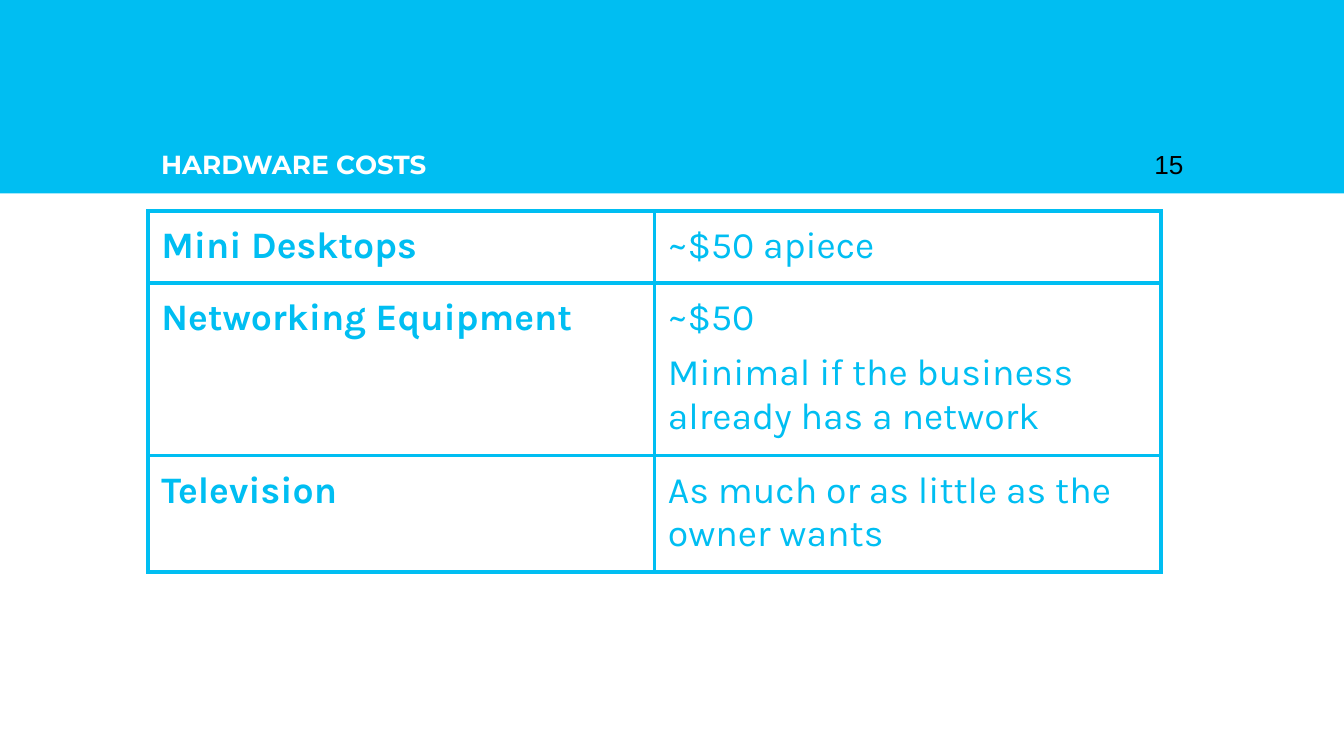
from pptx import Presentation
from pptx.dml.color import RGBColor
from pptx.enum.shapes import MSO_SHAPE as Shape
from pptx.enum.text import MSO_ANCHOR as Anchor
from pptx.oxml import parse_xml
from pptx.oxml.ns import nsdecls
from pptx.util import Inches, Pt

COLORS = {"accent": "00BEF2", "white": "FFFFFF", "black": "000000"}
INSET = Inches(0.1)
COSTS = [
    ("Mini Desktops", ["~$50 apiece"]),
    ("Networking Equipment",
     ["~$50", "Minimal if the business already has a network"]),
    ("Television", ["As much or as little as the owner wants"]),
]
# Least heights: the rows grow to fit their text
ROW_HEIGHTS = [0.18, 0.42, 0.42]
COLUMN_WIDTH = 3.77


def color(name):
    return RGBColor.from_string(COLORS[name])


def style_font(font, name, size, color_name, bold=False):
    font.name = name
    font.size = Pt(size)
    font.bold = bold
    font.color.rgb = color(color_name)


def set_insets(target):
    target.margin_left = target.margin_right = INSET
    target.margin_top = target.margin_bottom = INSET


def add_band(page, width, height):
    band = page.shapes.add_shape(Shape.RECTANGLE, 0, 0, width, height)
    band.shadow.inherit = False
    band.fill.solid()
    band.fill.fore_color.rgb = color("accent")
    band.line.fill.background()


def add_label(page, text, left, width, font_name, color_name, bold=False):
    box = page.shapes.add_textbox(left, Inches(0.71), width, Inches(0.73))
    frame = box.text_frame
    frame.word_wrap = True
    frame.vertical_anchor = Anchor.BOTTOM
    set_insets(frame)
    frame.text = text
    style_font(frame.paragraphs[0].runs[0].font, font_name, 14, color_name, bold)


def add_borders(cell):
    properties = cell._tc.get_or_add_tcPr()
    for index, side in enumerate(("lnL", "lnR", "lnT", "lnB")):
        border = parse_xml(
            f'<a:{side} {nsdecls("a")} w="{Pt(2.25)}"><a:solidFill>'
            f'<a:srgbClr val="{COLORS["accent"]}"/></a:solidFill></a:{side}>')
        properties.insert(index, border)


def fill_cell(cell, lines, bold):
    set_insets(cell)
    cell.fill.background()
    add_borders(cell)
    cell.text_frame.text = "\n".join(lines)
    for number, para in enumerate(cell.text_frame.paragraphs):
        para.space_before = Pt(6 if number else 0)
        for span in para.runs:
            style_font(span.font, "Karla", 20, "accent", bold)


def add_cost_table(page):
    table = page.shapes.add_table(
        len(COSTS), 2, Inches(1.1), Inches(1.57),
        Inches(2 * COLUMN_WIDTH), Inches(sum(ROW_HEIGHTS))).table
    table.first_row = table.horz_banding = False
    for column in table.columns:
        column.width = Inches(COLUMN_WIDTH)
    for row, height, (item, cost) in zip(table.rows, ROW_HEIGHTS, COSTS):
        row.height = Inches(height)
        fill_cell(row.cells[0], [item], True)
        fill_cell(row.cells[1], cost, False)


def main():
    deck = Presentation()
    # Widescreen, 16:9
    deck.slide_width = Inches(10)
    deck.slide_height = Inches(10 * 9 / 16)
    page = deck.slides.add_slide(deck.slide_layouts[6])

    # Header band with title and page number
    add_band(page, deck.slide_width, Inches(1.44))
    add_label(page, "HARDWARE COSTS", Inches(1.1), Inches(7.8),
              "Montserrat", "white", bold=True)
    add_label(page, "15", Inches(8.49), Inches(0.6), "Arial", "black")

    # Items and their costs
    add_cost_table(page)

    deck.save("out.pptx")


if __name__ == "__main__":
    main()
